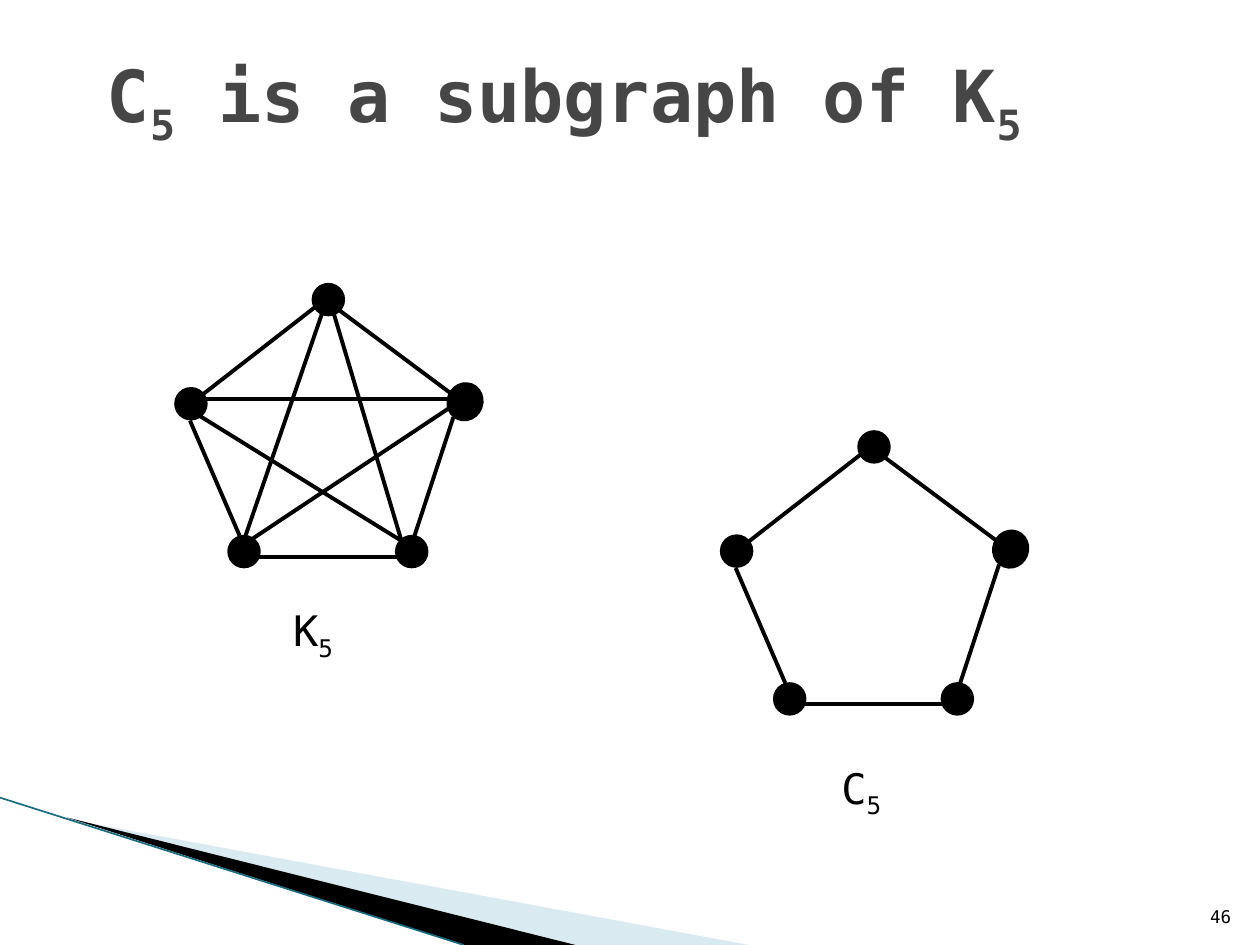
from lxml import etree
from pptx import Presentation
from pptx.dml.color import RGBColor
from pptx.enum.shapes import MSO_CONNECTOR, MSO_SHAPE
from pptx.enum.text import MSO_ANCHOR, PP_ALIGN
from pptx.oxml.ns import qn
from pptx.util import Cm, Pt

STRAIGHT = MSO_CONNECTOR.STRAIGHT
OVAL = MSO_SHAPE.OVAL
LEFT, RIGHT = PP_ALIGN.LEFT, PP_ALIGN.RIGHT
MIDDLE, TOP, BOTTOM = MSO_ANCHOR.MIDDLE, MSO_ANCHOR.TOP, MSO_ANCHOR.BOTTOM

BLACK = RGBColor(0x00, 0x00, 0x00)
GREY = RGBColor(0x46, 0x46, 0x46)
PALE_BLUE = RGBColor(0xA0, 0xCB, 0xDC)
TEAL = RGBColor(0x1A, 0x6B, 0x80)
FONT = "DejaVu Sans Mono"

presentation = Presentation()
presentation.slide_width, presentation.slide_height = Cm(25.4), Cm(19.05)
slide = presentation.slides.add_slide(presentation.slide_layouts[5])
shapes = slide.shapes


def add_line(x1, y1, x2, y2, color, width):
    connector = shapes.add_connector(STRAIGHT, Cm(x1), Cm(y1), Cm(x2), Cm(y2))
    connector.line.color.rgb = color
    connector.line.width = Pt(width)
    etree.SubElement(connector._element.spPr, qn("a:effectLst"))


def write_text(shape, parts, align, anchor, font_format):
    """Write the parts as runs; every second part is a subscript."""
    frame = shape.text_frame
    frame.word_wrap = True
    frame.vertical_anchor = anchor
    paragraph = frame.paragraphs[0]
    paragraph.alignment = align
    for index, part in enumerate(parts):
        run = paragraph.add_run()
        run.text = part
        run.font.name = FONT
        run.font.color.rgb = font_format["color"]
        for name in ("size", "bold"):
            setattr(run.font, name, font_format[name])
        if index % 2:
            run.font._element.set("baseline", "-25000")


# Corner decoration
wedges = [
    ([(1.4, 16.52), (15.1, 19.05), (11.58, 19.05)], PALE_BLUE, 40),
    ([(1.35, 16.48), (11.6, 19.05), (9.35, 19.05)], BLACK, 100),
]
for points, color, opacity in wedges:
    start, *others = [(Cm(x), Cm(y)) for x, y in points]
    builder = shapes.build_freeform(*start)
    builder.add_line_segments(others, close=True)
    wedge = builder.convert_to_shape()
    wedge.shadow.inherit = False
    wedge.fill.solid()
    wedge.fill.fore_color.rgb = color
    wedge.line.fill.background()
    color_element = wedge._element.spPr.find(".//" + qn("a:srgbClr"))
    etree.SubElement(color_element, qn("a:alpha"), val=str(opacity * 1000))
add_line(0, 16.08, 9.35, 19.05, TEAL, 0.95)

# Title
title = shapes.title
title.left, title.top, title.width, title.height = Cm(1.9), Cm(0.43), Cm(21.8), Cm(3.18)
write_text(title, ["C", "5", " is a subgraph of K", "5"], LEFT, MIDDLE,
           {"size": Pt(41), "bold": True, "color": GREY})

# Both graphs share nodes (left, top, width, height, rotation) and the outer cycle
nodes = [(x, y, 0.64, 0.64, 0) for x, y in
         [(6.3, 5.72), (3.53, 7.82), (4.6, 10.8), (7.98, 10.8)]]
nodes.append((9.02, 7.72, 0.71, 0.76, 20.8))
cycle = [
    (3.83, 8.48, 4.83, 10.8),
    (5.23, 11.23, 8.2, 11.23),
    (8.3, 10.97, 9.14, 8.41),
    (6.7, 6.15, 9.25, 8.05),
    (3.96, 8.05, 6.7, 5.92),
]
chords = [
    (3.81, 8.25, 8.25, 11),
    (4.88, 11, 9.32, 8.05),
    (6.55, 5.72, 8.25, 11.43),
    (6.55, 6.15, 4.88, 11),
    (3.81, 8.05, 9.09, 8.05),
]
graphs = [(0, 0, cycle + chords), (11, 2.97, cycle)]
for dx, dy, edges in graphs:
    for x1, y1, x2, y2 in edges:
        add_line(x1 + dx, y1 + dy, x2 + dx, y2 + dy, BLACK, 2.25)
    for x, y, width, height, rotation in nodes:
        node = shapes.add_shape(OVAL, Cm(x + dx), Cm(y + dy), Cm(width), Cm(height))
        node.shadow.inherit = False
        node.rotation = rotation
        node.fill.solid()
        node.fill.fore_color.rgb = BLACK
        node.line.color.rgb = BLACK
        node.line.width = Pt(1)

# Graph labels and slide number
texts = [
    (["K", "5"], 5.66, 12.07, 1.68, 1.27, 24, LEFT, TOP),
    (["C", "5"], 16.71, 15.24, 1.68, 1.27, 24, LEFT, TOP),
    (["46"], 24.03, 17.8, 1.02, 1.02, 10, RIGHT, BOTTOM),
]
for parts, x, y, width, height, size, align, anchor in texts:
    box = shapes.add_textbox(Cm(x), Cm(y), Cm(width), Cm(height))
    if len(parts) == 1:
        box.text_frame.margin_left = box.text_frame.margin_right = 0
        box.left = Cm(23.8)
    write_text(box, parts, align, anchor,
               {"size": Pt(size), "bold": False, "color": BLACK})

presentation.save("out.pptx")
